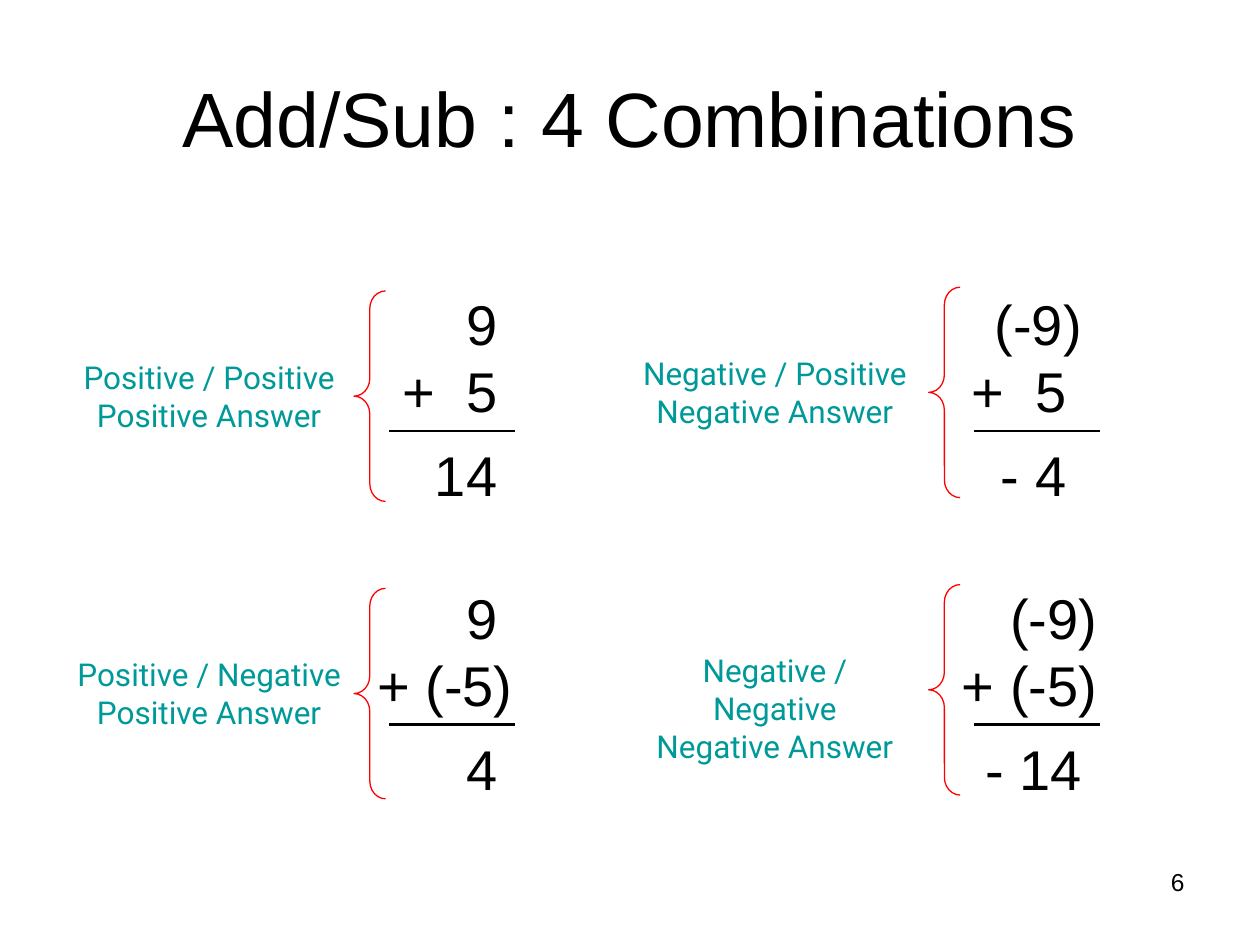
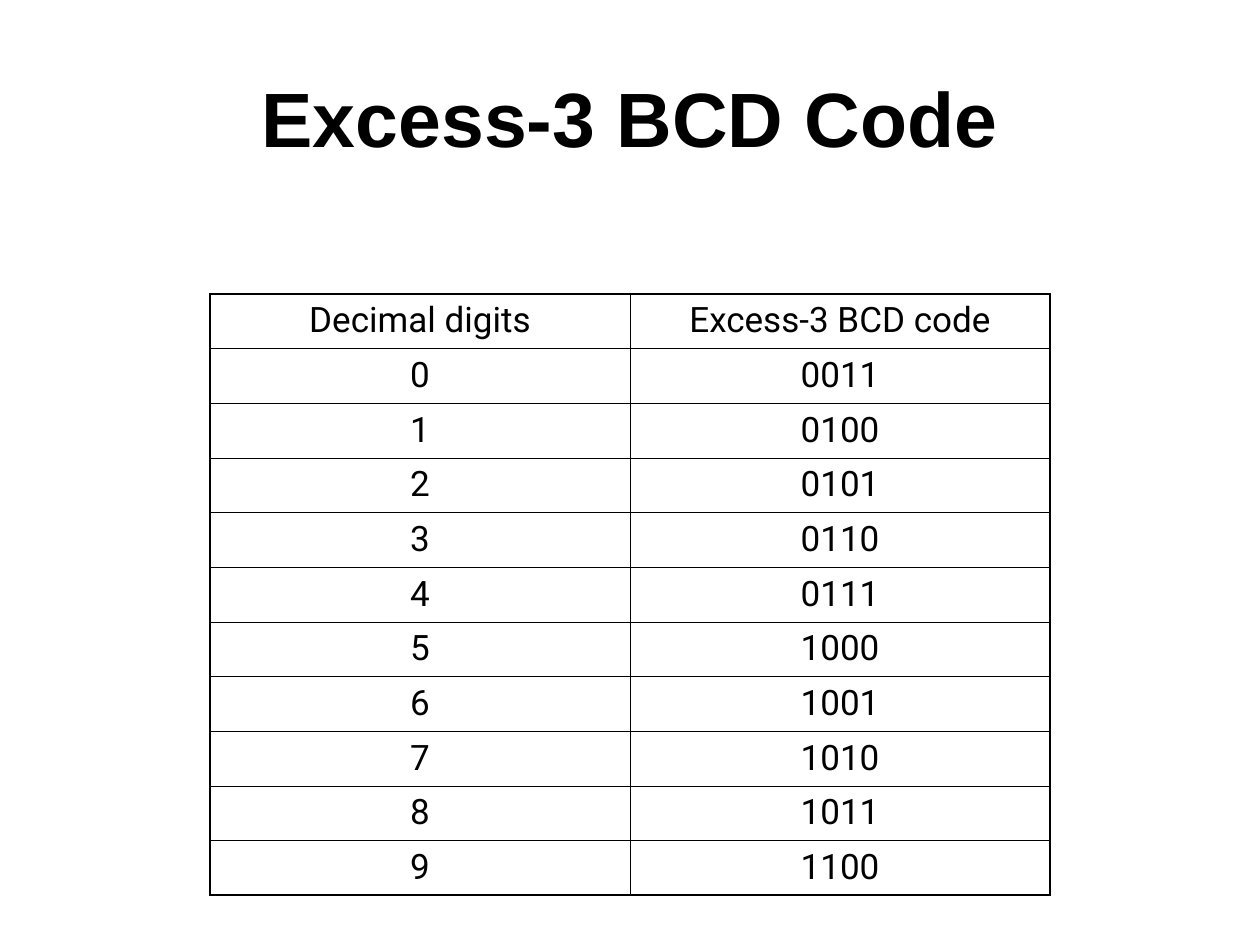
from dataclasses import dataclass

import pptx
import pptx.dml.color
import pptx.enum.shapes
import pptx.enum.text
import pptx.oxml.ns
import pptx.util
from lxml import etree

ALIGN = pptx.enum.text.PP_ALIGN
ANCHOR = pptx.enum.text.MSO_ANCHOR
qn = pptx.oxml.ns.qn


@dataclass(frozen=True)
class Theme:
    ink: str = "000000"
    note: str = "009999"
    brace: str = "FF0000"
    sans: str = "Arial"
    label: str = "Roboto"
    title_size: float = 44
    sum_size: float = 32
    cell_size: float = 20
    note_size: float = 18
    number_size: float = 14
    rule: float = 1.5
    brace_line: float = 0.75
    outer_border: float = 1.08
    inner_border: float = 0.45


@dataclass(frozen=True)
class Box:
    """A region measured in grid columns and rows."""
    left: float
    top: float
    width: float
    height: float

    def inside(self, left, top, width, height):
        return Box(self.left + left, self.top + top, width, height)

    def emu(self):
        return [unit(v) for v in (self.left, self.top, self.width, self.height)]


THEME = Theme()
SLIDE_WIDTH = pptx.util.Inches(10)
SLIDE_HEIGHT = pptx.util.Inches(7.5)
COLUMNS = 100  # square grid: 100 columns by 75 rows

TITLE_BOX = Box(5, 3, 90, 12.5)
NUMBER_BOX = Box(71.7, 68.3, 23.3, 5.2)
TABLE_BOX = Box(16.67, 23.33, 66.67, 47.7)

# Each sum row is its text and the number of blank slots to its right.
# A slot is one Arial space; a digit fills two slots.
SLOT = 0.278
COMBINATIONS = [
    [(["Positive / Positive", "Positive Answer"], [("9", 1), ("+\t5", 1), ("14", 1)]),
     (["Negative / Positive", "Negative Answer"], [("(-9)", 1), ("+\t5", 2), ("- 4", 2)])],
    [(["Positive / Negative", "Positive Answer"], [("9", 1), ("+ (-5)", 0), ("4", 1)]),
     (["Negative / Negative", "Negative Answer"], [("(-9)", 0), ("+ (-5)", 0), ("- 14", 1)])],
]


def unit(cells):
    return round(SLIDE_WIDTH * cells / COLUMNS)


def rgb(color):
    return pptx.dml.color.RGBColor.from_string(color)


def write(frame, lines, size, font, color=THEME.ink, align=ALIGN.CENTER, bold=False):
    """Fill a text frame, one paragraph a line, in one style."""
    frame.text = "\n".join(lines)
    for paragraph in frame.paragraphs:
        paragraph.alignment = align
        for run in paragraph.runs:
            run.font.size = pptx.util.Pt(size)
            run.font.name = font
            run.font.bold = bold
            run.font.color.rgb = rgb(color)


def add_text(slide, box, lines, size, font, wrap=True, anchor=ANCHOR.TOP, **style):
    frame = slide.shapes.add_textbox(*box.emu()).text_frame
    frame.word_wrap = wrap
    frame.vertical_anchor = anchor
    write(frame, lines, size, font, **style)
    return frame


def add_title(slide, title, bold=False):
    add_text(slide, TITLE_BOX, [title], THEME.title_size, THEME.sans,
             anchor=ANCHOR.MIDDLE, bold=bold)


def add_page_number(slide, number):
    add_text(slide, NUMBER_BOX, [number], THEME.number_size, THEME.sans, align=ALIGN.RIGHT)


def set_right_stops(paragraph, stops):
    tab_list = etree.SubElement(paragraph._p.get_or_add_pPr(), qn("a:tabLst"))
    for stop in stops:
        etree.SubElement(tab_list, qn("a:tab"), pos=str(stop), algn="r")


def add_sum(slide, box, rows):
    """Right-aligned addends and answer, with a rule above the answer."""
    frame = add_text(slide, box, ["\t" + text for text, _ in rows],
                     THEME.sum_size, THEME.sans, align=ALIGN.LEFT)
    frame.margin_left = frame.margin_right = 0
    slot = pptx.util.Pt(THEME.sum_size * SLOT)
    edge = unit(box.width - 1)
    for paragraph, (text, blanks) in zip(frame.paragraphs, rows):
        slots = [blanks + 4, blanks] if "\t" in text else [blanks]
        set_right_stops(paragraph, [round(edge - n * slot) for n in slots])
    frame.paragraphs[-1].line_spacing = 1.25

    rule_left, rule_top = box.left + box.width - 10.8, box.top + 11.7
    rule = slide.shapes.add_connector(
        pptx.enum.shapes.MSO_CONNECTOR.STRAIGHT,
        unit(rule_left), unit(rule_top), unit(rule_left + 10), unit(rule_top))
    rule.line.color.rgb = rgb(THEME.ink)
    rule.line.width = pptx.util.Pt(THEME.rule)
    etree.SubElement(rule._element.spPr, qn("a:effectLst"))


def add_note(slide, box, lines):
    """Sign note with the brace that points to it."""
    add_text(slide, box.inside(0, 4.8, 23.8, 7), lines, THEME.note_size, THEME.label,
             wrap=False, color=THEME.note)
    brace = slide.shapes.add_shape(
        pptx.enum.shapes.MSO_SHAPE.LEFT_BRACE,
        *box.inside(box.width - 2.5, 0, 2.5, box.height).emu())
    brace.adjustments[0] = 0.56
    brace.shadow.inherit = False
    brace.fill.background()
    brace.line.color.rgb = rgb(THEME.brace)
    brace.line.width = pptx.util.Pt(THEME.brace_line)


def build_combinations(slide):
    add_page_number(slide, "6")
    add_title(slide, "Add/Sub : 4 Combinations")
    sums = Box(28.2, 22.5, 13.5, 18.4)
    notes = Box(4.7, 23.1, 25.9, 16.7)
    for row, pair in enumerate(COMBINATIONS):
        for column, (note, rows) in enumerate(pair):
            add_sum(slide, sums.inside(46.4 * column, 23.3 * row, sums.width, sums.height), rows)
            add_note(slide, notes.inside(44.9 * column, 23.6 * row - 0.3 * column,
                                         notes.width + 0.7 * column, notes.height), note)


def set_border(cell, side, width):
    border = etree.SubElement(cell._tc.get_or_add_tcPr(), qn(f"a:ln{side}"),
                              w=str(pptx.util.Pt(width)))
    fill = etree.SubElement(border, qn("a:solidFill"))
    etree.SubElement(fill, qn("a:srgbClr"), val=THEME.ink)


def add_code_table(slide, box, rows):
    last_row, last_column = len(rows) - 1, len(rows[0]) - 1
    table = slide.shapes.add_table(len(rows), len(rows[0]), *box.emu()).table
    table.first_row = table.horz_banding = False
    for r, values in enumerate(rows):
        for c, value in enumerate(values):
            cell = table.cell(r, c)
            write(cell.text_frame, [value], THEME.cell_size, THEME.label)
            cell.text_frame.paragraphs[0].space_before = pptx.util.Pt(5)
            outer = {"L": c == 0, "R": c == last_column, "T": r == 0, "B": r == last_row}
            for side, is_outer in outer.items():
                set_border(cell, side, THEME.outer_border if is_outer else THEME.inner_border)
            cell.fill.background()


def build_excess_3(slide):
    add_title(slide, "Excess-3 BCD Code", bold=True)
    codes = [(str(digit), f"{digit + 3:04b}") for digit in range(10)]
    add_code_table(slide, TABLE_BOX, [("Decimal digits", "Excess-3 BCD code"), *codes])


def main():
    deck = pptx.Presentation()
    deck.slide_width, deck.slide_height = SLIDE_WIDTH, SLIDE_HEIGHT
    blank = deck.slide_layouts[6]
    for build in (build_combinations, build_excess_3):
        build(deck.slides.add_slide(blank))
    deck.save("out.pptx")


if __name__ == "__main__":
    main()
